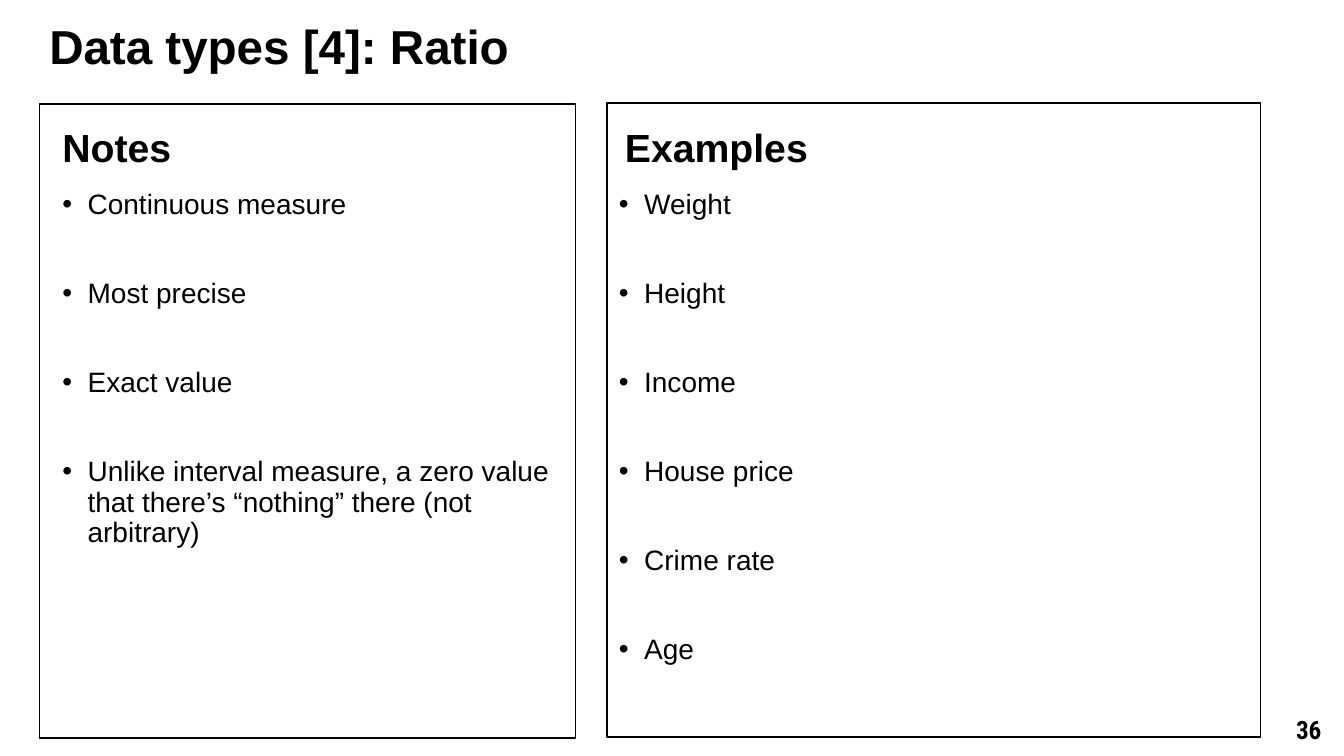
from lxml import etree
from pptx import Presentation
from pptx import util as u
from pptx.dml.color import RGBColor
from pptx.enum import shapes, text
from pptx.oxml.ns import qn

BLACK = "000000"
NOTES = [
    "Continuous measure",
    "Most precise",
    "Exact value",
    "Unlike interval measure, a zero value that there’s “nothing” there (not arbitrary)",
]
EXAMPLES = ["Weight", "Height", "Income", "House price", "Crime rate", "Age"]


def color(value):
    return RGBColor.from_string(value)


def add_box(slide, left, top, width, height):
    box = slide.shapes.add_textbox(*map(u.Inches, (left, top, width, height)))
    box.text_frame.word_wrap = True
    return box.text_frame


def add_run(paragraph, words, size, bold=False, font="Arial"):
    run = paragraph.add_run()
    run.text = words
    run.font.name = font
    run.font.size = u.Pt(size)
    run.font.bold = bold
    run.font.color.rgb = color(BLACK)


def add_heading(slide, words, size, *place):
    paragraph = add_box(slide, *place).paragraphs[0]
    paragraph.line_spacing = 0.9
    add_run(paragraph, words, size, bold=True)


def add_bullets(slide, items, *place):
    frame = add_box(slide, *place)
    for index, item in enumerate(items):
        paragraph = frame.add_paragraph() if index else frame.paragraphs[0]
        properties = paragraph._p.get_or_add_pPr()
        properties.set("marL", str(u.Inches(0.25)))
        properties.set("indent", str(-u.Inches(0.25)))
        etree.SubElement(properties, qn("a:buFont"), typeface="Arial")
        etree.SubElement(properties, qn("a:buChar"), char="•")
        paragraph.line_spacing = 0.9
        if index:
            paragraph.space_before = u.Pt(42)
        add_run(paragraph, item, 20)


def add_frame(slide, *place):
    frame = slide.shapes.add_shape(shapes.MSO_SHAPE.RECTANGLE, *map(u.Inches, place))
    frame.shadow.inherit = False
    frame.fill.background()
    frame.line.color.rgb = color(BLACK)
    frame.line.width = u.Pt(1)


def add_page_number(slide, number, *place):
    frame = add_box(slide, *place)
    frame.vertical_anchor = text.MSO_ANCHOR.MIDDLE
    paragraph = frame.paragraphs[0]
    paragraph.alignment = text.PP_ALIGN.CENTER
    add_run(paragraph, number, 18, bold=True, font="Roboto Condensed")


def main():
    presentation = Presentation()
    presentation.slide_width = u.Inches(13.33)
    presentation.slide_height = u.Inches(7.5)
    slide = presentation.slides.add_slide(presentation.slide_layouts[6])

    # Title
    add_heading(slide, "Data types [4]: Ratio", 34, 0.39, 0.18, 12.11, 0.57)

    # Notes column
    add_heading(slide, "Notes", 28, 0.52, 1.23, 4.79, 0.7)
    add_bullets(slide, NOTES, 0.52, 1.84, 5.35, 4.83)

    # Examples column
    add_heading(slide, "Examples", 28, 6.1, 1.23, 4.79, 0.7)
    add_bullets(slide, EXAMPLES, 6.04, 1.84, 6.29, 5.03)

    # Column frames
    add_frame(slide, 0.39, 1.03, 5.32, 6.29)
    add_frame(slide, 6.02, 1.02, 6.48, 6.29)

    # Page number
    add_page_number(slide, "36", 12.74, 7.01, 0.48, 0.46)

    presentation.save("out.pptx")


if __name__ == "__main__":
    main()
